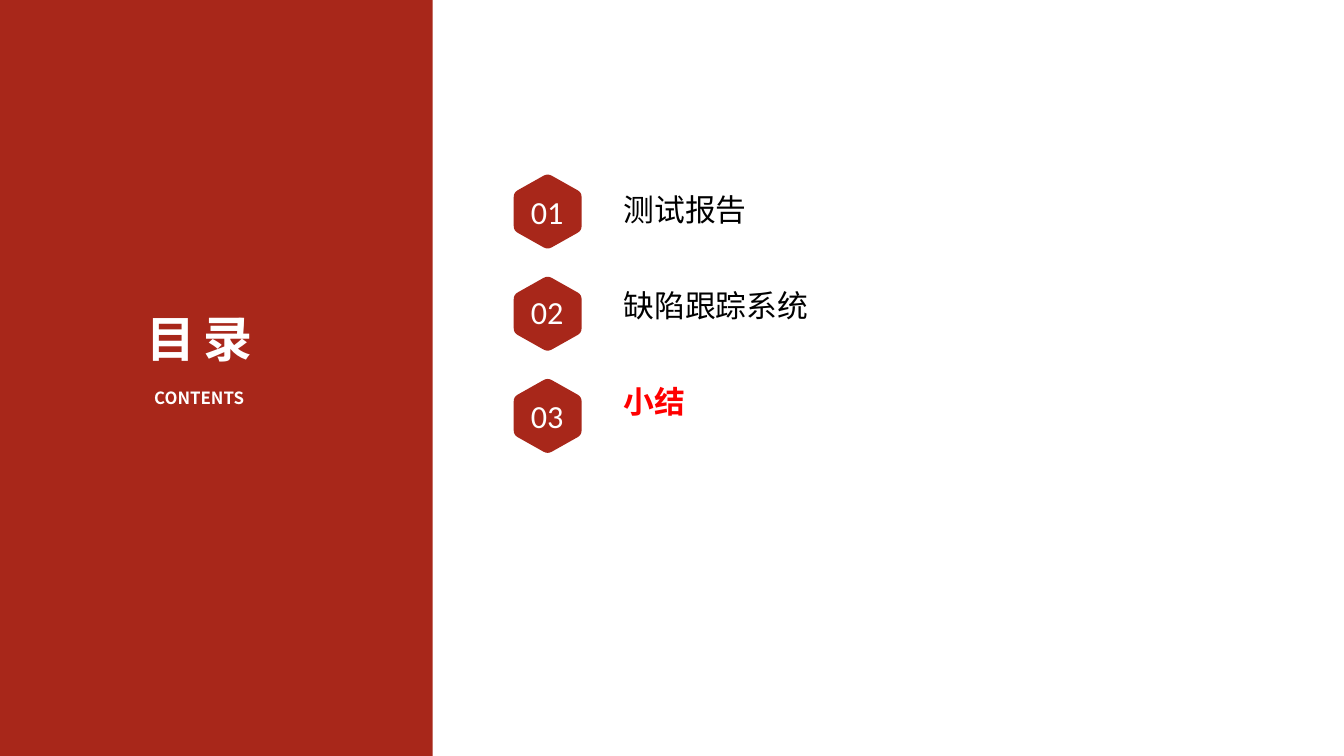
from pptx import Presentation
from pptx.util import Cm, Pt
from pptx.dml.color import RGBColor as RGB
from pptx.enum.shapes import MSO_SHAPE as Kind
from pptx.enum.text import MSO_ANCHOR as Anchor, MSO_AUTO_SIZE as Fit, PP_ALIGN as Align
from pptx.oxml.ns import qn
from lxml.etree import SubElement as Sub

HUES = {"red": "A8271A", "white": "FFFFFF", "black": "000000", "mark": "FF0000"}
SANS = "Noto Sans CJK SC"
ITEMS = [("测试报告", "black", 9.32), ("缺陷跟踪系统", "black", 14.35), ("小结", "mark", 19.61)]
STEP = 5.15
FRAME = {"word_wrap": True, "auto_size": Fit.NONE, "margin_left": Cm(0.13),
         "margin_right": Cm(0.13), "margin_top": Cm(0.13), "margin_bottom": Cm(0.13)}


def place(shape, box, anchor=Anchor.TOP):
    for name, value in zip(("left", "top", "width", "height"), box):
        setattr(shape, name, Cm(value))
    for name, value in (FRAME | {"vertical_anchor": anchor}).items():
        setattr(shape.text_frame, name, value)
    return shape.text_frame


def write(para, text, size, hue, font=SANS, bold=False, align=Align.CENTER):
    para.alignment = align
    run = para.add_run()
    run.text = text
    for name, value in {"size": Pt(size), "name": font, "bold": bold}.items():
        setattr(run.font, name, value)
    run.font.color.rgb = RGB.from_string(HUES[hue])
    props = run._r.get_or_add_rPr()
    Sub(props, qn("a:ea")).set("typeface", font)
    return props


deck = Presentation()
deck.slide_width, deck.slide_height = Cm(67.73), Cm(38.1)
slide = deck.slides.add_slide(deck.slide_layouts[1])
shapes = slide.shapes
title, body = slide.placeholders

panel = shapes.add_shape(Kind.RECTANGLE, 0, 0, Cm(21.8), deck.slide_height)
panel.shadow.inherit = False
panel.fill.solid()
panel.fill.fore_color.rgb = RGB.from_string(HUES["red"])
panel.line.fill.background()
title._element.addprevious(panel._element)

frame = place(title, (2.84, 15.44, 14.43, 7.24))
write(frame.paragraphs[0], "目录", 70, "white", bold=True).set("spc", "1170")
frame = place(shapes.add_textbox(0, 0, 0, 0), (4.75, 19.41, 10.57, 2.51))
write(frame.paragraphs[0], "CONTENTS", 24, "white", bold=True)

frame = place(body, (31.29, 9.47, 20.19, 13))
for row, (text, hue, top) in enumerate(ITEMS):
    para = frame.add_paragraph() if row else frame.paragraphs[0]
    props = para._p.get_or_add_pPr()
    props.set("marL", "0")
    props.set("indent", "0")
    Sub(props, qn("a:buNone"))
    para.space_before = Pt(84.3 if row else 0)
    write(para, text, 44, hue, bold=hue == "mark", align=Align.LEFT)

corners = [(0, -1.92), (1.71, -0.96), (1.71, 0.96), (0, 1.92), (-1.71, 0.96), (-1.71, -0.96)]
outline = []
for i, now in enumerate(corners):
    last, next_ = corners[i - 1], corners[(i + 1) % 6]
    for s in (0, 0.25, 0.5, 0.75, 1):
        outline.append([c + 0.12 * ((1 - s) ** 2 * (a - c) + s ** 2 * (b - c))
                        for a, c, b in zip(last, now, next_)])

for row, (text, hue, top) in enumerate(ITEMS):
    mid = 10.66 + row * STEP
    points = [(Cm(27.6 + x), Cm(mid + y)) for x, y in outline]
    pen = shapes.build_freeform(*points[0], scale=1.0)
    pen.add_line_segments(points[1:], close=True)
    badge = pen.convert_to_shape()
    badge.shadow.inherit = False
    badge.fill.solid()
    badge.fill.fore_color.rgb = RGB.from_string(HUES["red"])
    badge.line.fill.background()
    frame = place(shapes.add_textbox(0, 0, 0, 0), (25.37, top, 4.42, 2.67), Anchor.MIDDLE)
    write(frame.paragraphs[0], f"{row + 1:02}", 46, "white", font="Calibri")

deck.save("out.pptx")
